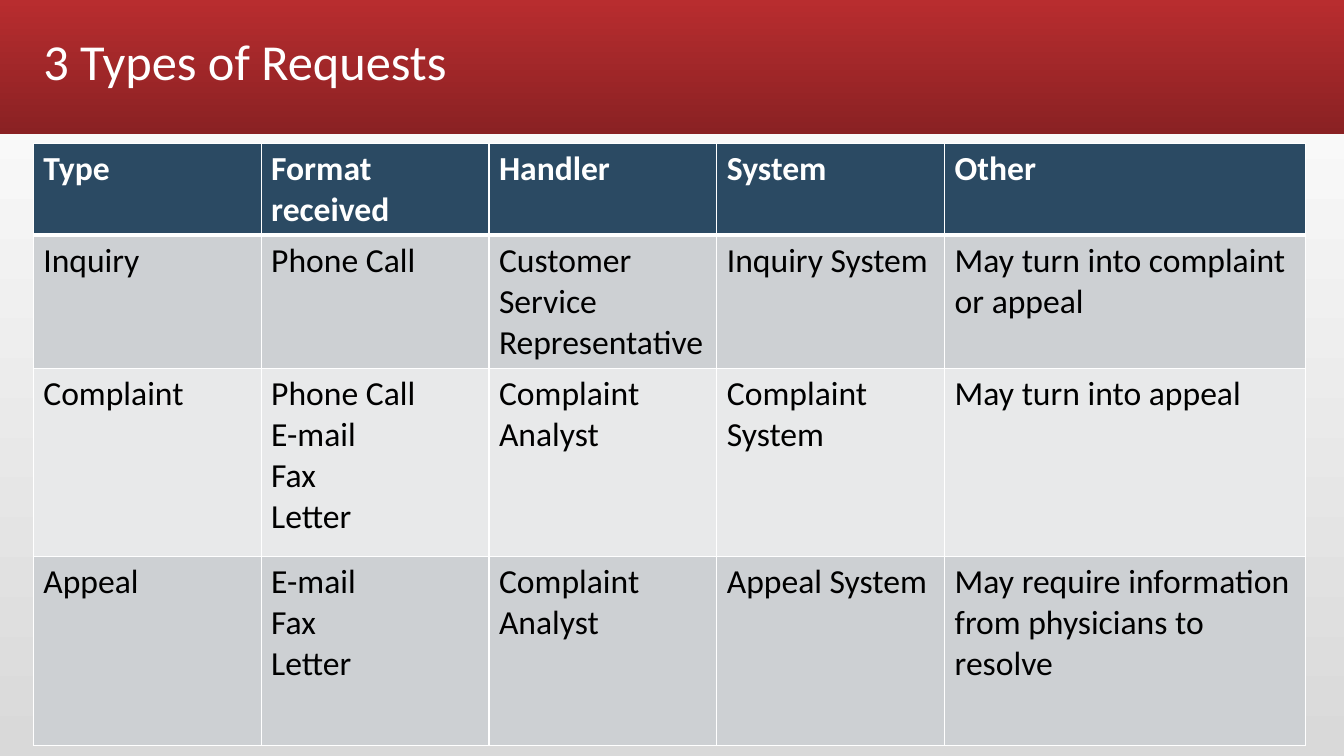
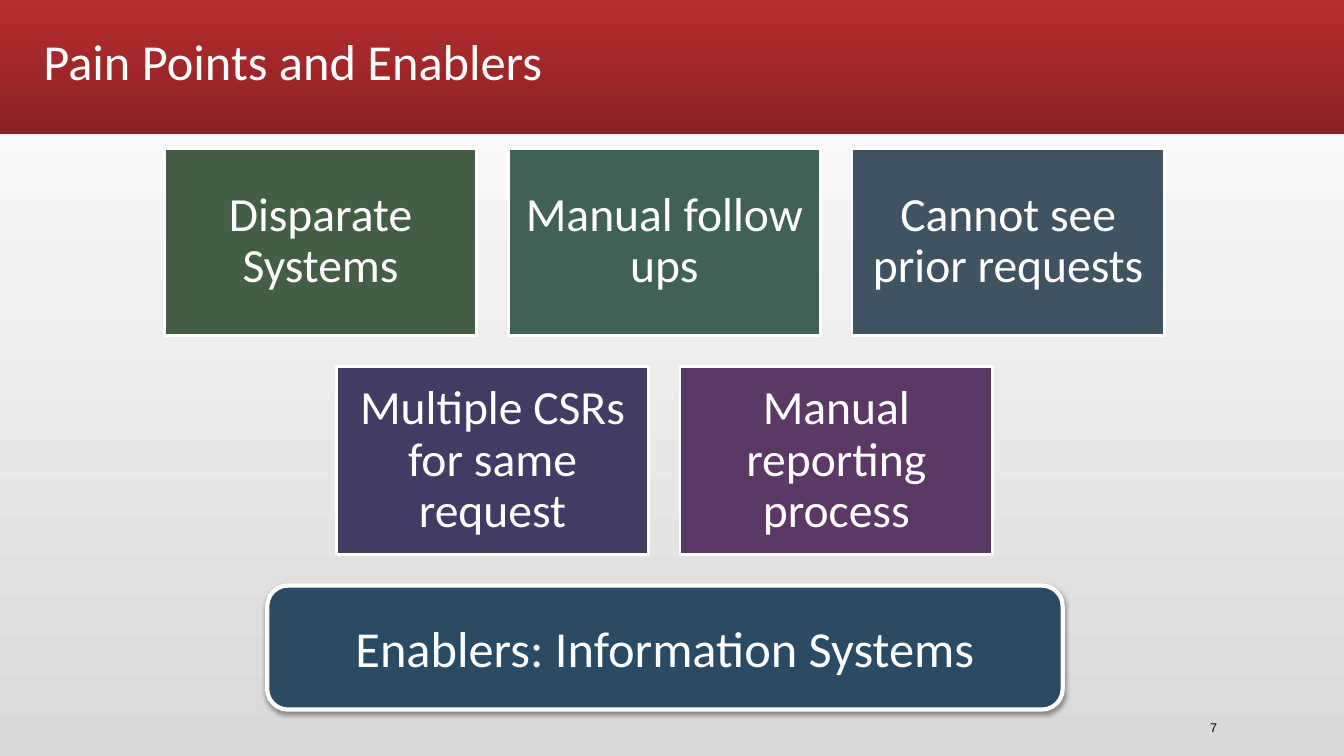
from dataclasses import dataclass

from lxml.etree import SubElement
from pptx import Presentation
from pptx.dml.color import RGBColor as Rgb
from pptx.enum.shapes import MSO_SHAPE as Preset
from pptx.enum.text import MSO_ANCHOR as Anchor, PP_ALIGN as Align
from pptx.oxml.ns import qn
from pptx.util import Inches, Pt


@dataclass(frozen=True)
class Theme:
    font: str = "Calibri"
    number_font: str = "Arial"
    white: str = "FFFFFF"
    black: str = "000000"
    navy: str = "2B4A63"
    row_fills: tuple = ("CDD0D3", "E8E9EA")
    backdrop: tuple = ("D9D9D9", "FFFFFF")
    band: tuple = ("B82D2F", "8A2123")
    title_size: int = 36
    point_size: int = 34
    table_size: int = 24
    number_size: int = 9


THEME = Theme()

REQUESTS = [
    ["Type", "Format received", "Handler", "System", "Other"],
    ["Inquiry", "Phone Call", "Customer Service Representative",
     "Inquiry System", "May turn into complaint or appeal"],
    ["Complaint", "Phone Call\nE-mail\nFax\nLetter", "Complaint Analyst",
     "Complaint System", "May turn into appeal"],
    ["Appeal", "E-mail\nFax\nLetter", "Complaint Analyst", "Appeal System",
     "May require information from physicians to resolve"],
]
REQUEST_COLUMNS = [2.26, 2.26, 2.26, 2.26, 3.58]
REQUEST_ROWS = [0.73, 1.02, 1.87, 1.87]

PAIN_POINTS = [
    [("Disparate Systems", "445E45"), ("Manual follow ups", "416057"),
     ("Cannot see prior requests", "3F5361")],
    [("Multiple CSRs for same request", "403C63"),
     ("Manual reporting process", "5A3A64")],
]


def apply(target, formats):
    for name, value in formats.items():
        setattr(target, name, value)


def place(left, top, width, height):
    return dict(left=Inches(left), top=Inches(top),
                width=Inches(width), height=Inches(height))


def paint(fill, color):
    fill.solid()
    fill.fore_color.rgb = Rgb.from_string(color)


def paint_gradient(fill, colors, angle):
    fill.gradient()
    fill.gradient_angle = angle
    for stop, color in zip(fill.gradient_stops, colors):
        stop.color.rgb = Rgb.from_string(color)


def write(frame, text, size, color, font=THEME.font, bold=False,
          align=Align.LEFT, spacing=None):
    frame.text = text
    for paragraph in frame.paragraphs:
        apply(paragraph, dict(alignment=align, line_spacing=spacing))
        for run in paragraph.runs:
            apply(run.font, dict(name=font, size=Pt(size), bold=bold))
            run.font.color.rgb = Rgb.from_string(color)


def style_template(prs, layout, slide):
    paint_gradient(prs.slide_master.background.fill, THEME.backdrop, 90)
    band = slide.shapes.add_shape(
        Preset.RECTANGLE, 0, 0, prs.slide_width, Inches(1.33))
    paint_gradient(band.fill, THEME.band, 270)
    band.line.fill.background()
    band.shadow.inherit = False
    layout.shapes.element.insert(2, band.element)
    for placeholder in layout.placeholders:
        if placeholder.placeholder_format.idx == 0:
            apply(placeholder, place(0.33, 0.11, 11.83, 1.06))


def add_title(slide, text):
    frame = slide.shapes.title.text_frame
    frame.vertical_anchor = Anchor.MIDDLE
    write(frame, text, THEME.title_size, THEME.white, spacing=0.9)


def add_borders(cell, widths):
    properties = cell._tc.get_or_add_tcPr()
    for index, (side, width) in enumerate(widths.items()):
        border = SubElement(properties, qn(f"a:ln{side}"), w=str(Pt(width)))
        fill = SubElement(border, qn("a:solidFill"))
        SubElement(fill, qn("a:srgbClr"), val=THEME.white)
        properties.insert(index, border)


def add_request_table(slide):
    table = slide.shapes.add_table(
        len(REQUEST_ROWS), len(REQUEST_COLUMNS),
        **place(0.33, 1.42, 12.63, 5.93)).table
    table.horz_banding = False
    for column, width in zip(table.columns, REQUEST_COLUMNS):
        column.width = Inches(width)
    for index, (row, height) in enumerate(zip(table.rows, REQUEST_ROWS)):
        row.height = Inches(height)
        header = index == 0
        fill = THEME.navy if header else THEME.row_fills[(index - 1) % 2]
        borders = dict(L=1, R=1, T=3 if index == 1 else 1, B=3 if header else 1)
        for cell, text in zip(row.cells, REQUESTS[index]):
            paint(cell.fill, fill)
            add_borders(cell, borders)
            write(cell.text_frame, text, THEME.table_size,
                  THEME.white if header else THEME.black, bold=header)


def add_box(slide, preset, area, text, fill, size, line, inset, spacing=None):
    box = slide.shapes.add_shape(preset, **area)
    paint(box.fill, fill)
    paint(box.line.fill, THEME.white)
    box.line.width = Pt(line)
    box.shadow.inherit = False
    frame = box.text_frame
    apply(frame, dict(word_wrap=True, vertical_anchor=Anchor.MIDDLE))
    apply(frame, {f"margin_{side}": Inches(inset)
                  for side in ("left", "top", "right", "bottom")})
    write(frame, text, size, THEME.white, align=Align.CENTER, spacing=spacing)
    return box


def add_soft_shadow(box):
    effects = box.element.find(f".//{qn('a:effectLst')}")
    shadow = SubElement(effects, qn("a:outerShdw"), blurRad=str(Pt(3.1)),
                        dist=str(Pt(1.6)), dir="5400000", rotWithShape="0")
    color = SubElement(shadow, qn("a:srgbClr"), val=THEME.black)
    SubElement(color, qn("a:alpha"), val="38000")


def add_pain_points(slide):
    center, top, width, height, gap = 6.59, 1.47, 3.1, 1.86, 0.31
    for row, points in enumerate(PAIN_POINTS):
        left = center - (len(points) * (width + gap) - gap) / 2
        for column, (text, fill) in enumerate(points):
            area = place(left + column * (width + gap),
                         top + row * (height + gap), width, height)
            add_box(slide, Preset.RECTANGLE, area, text, fill,
                    THEME.point_size, line=2, inset=0.14, spacing=0.9)


def add_enabler(slide, text):
    enabler = add_box(slide, Preset.ROUNDED_RECTANGLE,
                      place(2.65, 5.81, 7.89, 1.23), text, THEME.navy,
                      THEME.title_size, line=3, inset=0.1)
    add_soft_shadow(enabler)


def add_page_number(slide, number):
    frame = slide.shapes.add_textbox(**place(11.25, 7.09, 0.92, 0.26)).text_frame
    apply(frame, dict(word_wrap=True, vertical_anchor=Anchor.MIDDLE))
    write(frame, number, THEME.number_size, THEME.black,
          font=THEME.number_font, align=Align.RIGHT)


def main():
    prs = Presentation()
    apply(prs, dict(slide_width=Inches(13.33), slide_height=Inches(7.5)))
    layout = prs.slide_layouts[5]

    requests = prs.slides.add_slide(layout)
    style_template(prs, layout, requests)
    add_title(requests, "3 Types of Requests")
    add_request_table(requests)

    pain_points = prs.slides.add_slide(layout)
    add_page_number(pain_points, "7")
    add_title(pain_points, "Pain Points and Enablers")
    add_pain_points(pain_points)
    add_enabler(pain_points, "Enablers: Information Systems")

    prs.save("out.pptx")


if __name__ == "__main__":
    main()
